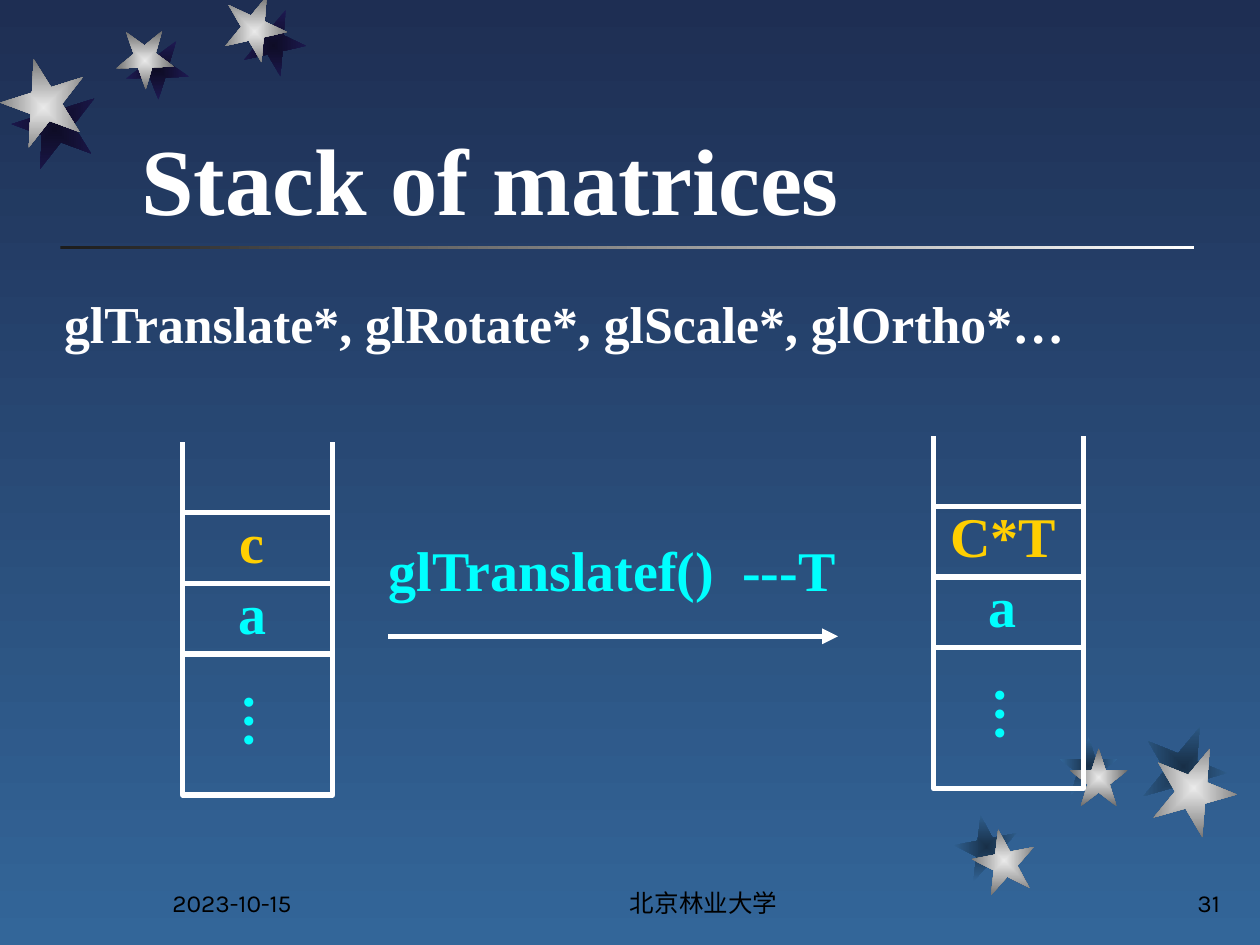
from lxml import etree
from pptx import Presentation
from pptx.dml.color import RGBColor
from pptx.enum.shapes import MSO_CONNECTOR, MSO_SHAPE
from pptx.enum.text import MSO_ANCHOR, MSO_AUTO_SIZE, PP_ALIGN
from pptx.oxml.ns import qn
from pptx.util import Inches, Pt

LEFT, CENTER, RIGHT = PP_ALIGN.LEFT, PP_ALIGN.CENTER, PP_ALIGN.RIGHT
TOP, BOTTOM = MSO_ANCHOR.TOP, MSO_ANCHOR.BOTTOM
SERIF, SANS = "Times New Roman", "Karla"
WHITE, BLACK, CYAN, GOLD = "FFFFFF", "000000", "00FFFF", "FFCF01"
SILVER, NIGHT, DUSK = ("EAEAEA", "6C6C6C"), ("0E0C26", "1E1A53"), ("182F47", "336699")

STAR = [(0, .38), (.38, .38), (.5, 0), (.62, .38), (1, .38),
        (.69, .62), (.81, 1), (.5, .76), (.19, 1), (.31, .62)]
# left, top, width, height, rotation, colours
STARS = [
    (1.92, .11, .5, .5, 167.3, NIGHT),
    (1, .33, .5, .46, 178.3, NIGHT),
    (.1, .69, .67, .67, 200.3, NIGHT),
    (1.77, 0, .5, .5, 167.3, SILVER),
    (.92, .25, .46, .46, 178.3, SILVER),
    (.01, .52, .67, .67, 200.3, SILVER),
    (7.58, 6.47, .5, .5, 349, DUSK),
    (8.41, 5.85, .46, .46, 0, DUSK),
    (9.06, 5.75, .67, .67, 22, DUSK),
    (7.72, 6.58, .5, .5, 349, SILVER),
    (8.49, 5.94, .46, .46, 0, SILVER),
    (9.14, 5.92, .67, .67, 22, SILVER),
]
STACK_WIDTH, ROW = 1.19, .56


def color(code):
    return RGBColor.from_string(code)


def fill_gradient(fill, colors, angle=0):
    fill.gradient()
    fill.gradient_angle = angle
    for stop, code in zip(fill.gradient_stops, colors):
        stop.color.rgb = color(code)


def make_gradient_radiate(shape):
    """Let the gradient run from the centre of the shape outwards."""
    gradient = shape._element.spPr.find(qn("a:gradFill"))
    gradient.remove(gradient.find(qn("a:lin")))
    focus = etree.SubElement(gradient, qn("a:path"), {"path": "rect"})
    etree.SubElement(focus, qn("a:fillToRect"), dict.fromkeys("ltrb", "50000"))


def add_star(page, left, top, width, height, rotation, colors):
    points = [(Inches(left + x * width), Inches(top + y * height)) for x, y in STAR]
    builder = page.shapes.build_freeform(*points[0])
    builder.add_line_segments(points[1:], close=True)
    star = builder.convert_to_shape()
    star.rotation = rotation
    star.shadow.inherit = False
    star.line.fill.background()
    fill_gradient(star.fill, colors)
    make_gradient_radiate(star)


def add_rect(page, left, top, width, height):
    rect = page.shapes.add_shape(MSO_SHAPE.RECTANGLE, Inches(left), Inches(top),
                                 Inches(width), Inches(height))
    rect.shadow.inherit = False
    return rect


def add_line(page, x1, y1, x2, y2, arrow=False):
    line = page.shapes.add_connector(MSO_CONNECTOR.STRAIGHT, Inches(x1), Inches(y1),
                                     Inches(x2), Inches(y2))
    line.line.color.rgb = color(WHITE)
    line.line.width = Pt(3)
    properties = line._element.spPr
    if arrow:
        etree.SubElement(properties.find(qn("a:ln")), qn("a:tailEnd"), type="triangle")
    etree.SubElement(properties, qn("a:effectLst"))


def write(box, text, size, font, code, bold, align, anchor):
    frame = box.text_frame
    frame.vertical_anchor = anchor
    para = frame.paragraphs[0]
    para.alignment = align
    span = para.add_run()
    span.text = text
    span.font.size = Pt(size)
    span.font.name = font
    span.font.bold = bold
    span.font.color.rgb = color(code)
    return para


def add_text(page, text, left, top, width, height, size=32, font=SERIF, code=CYAN,
             bold=True, align=LEFT, anchor=TOP, wrap=True):
    box = page.shapes.add_textbox(Inches(left), Inches(top), Inches(width), Inches(height))
    box.text_frame.word_wrap = wrap
    write(box, text, size, font, code, bold, align, anchor)
    return box


def add_vertical_dots(page, left, top):
    box = add_text(page, "…", left, top, .73, .82)
    frame = box.text_frame
    frame.margin_left = frame.margin_right = Inches(.05)
    frame.margin_top = frame.margin_bottom = Inches(.1)
    frame._txBody.bodyPr.set("vert", "eaVert")


def add_stack(page, left, top, labels):
    """Draw an open-topped stack; labels are (text, width, colour) from the top row."""
    right = left + STACK_WIDTH
    frame = add_rect(page, left, top, STACK_WIDTH, 4 * ROW)
    frame.fill.background()
    frame.line.color.rgb = color(WHITE)
    frame.line.width = Pt(3)
    for x in (left, right):
        add_line(page, x, top, x, top - ROW)
    for row, (text, width, code) in enumerate(labels):
        floor = top + (row + 1) * ROW
        add_line(page, left, floor, right, floor)
        add_text(page, text, left + .55 - width / 2, floor - ROW - .09, width, .64,
                 code=code, align=CENTER, wrap=False)
    add_vertical_dots(page, left + .26, top + 1.33)


def add_title(page, text):
    title = page.shapes.title
    title.left, title.top = Inches(1.02), Inches(.31)
    title.width, title.height = Inches(8.52), Inches(1.6)
    title.text_frame.auto_size = MSO_AUTO_SIZE.NONE
    write(title, text, 54, SERIF, WHITE, True, LEFT, BOTTOM)


def add_footer(page):
    for text, left, width, align in (("2023-10-15", 1.27, 2.08, LEFT),
                                     ("北京林业大学", 4, 3.17, CENTER),
                                     ("31", 7.7, 2.08, RIGHT)):
        add_text(page, text, left, 6.83, width, .5, size=14, font=SANS, code=BLACK,
                 bold=False, align=align, anchor=BOTTOM)


def main():
    deck = Presentation()
    deck.slide_width, deck.slide_height = Inches(10), Inches(7.5)
    page = deck.slides.add_slide(deck.slide_layouts[5])
    fill_gradient(page.background.fill, ("1E2E53", "336699"), 270)

    rule = add_rect(page, .48, 1.95, 9, .03)
    rule.line.fill.background()
    fill_gradient(rule.fill, ("1C1C1C", WHITE))
    for star in STARS:
        add_star(page, *star)
    add_footer(page)
    add_title(page, "Stack of matrices")

    add_stack(page, 1.45, 4.07, [("c", .4, GOLD), ("a", .42, CYAN)])
    add_line(page, 3.08, 5.05, 6.65, 5.05, arrow=True)
    add_text(page, "glTranslatef()  ---T", 2.97, 4.2, 3.78, .64, align=CENTER, wrap=False)
    add_stack(page, 7.41, 4.02, [("C*T", 1.04, GOLD), ("a", .42, CYAN)])

    calls = add_text(page, "glTranslate*, glRotate*, glScale*, glOrtho*…",
                     .41, 2.32, 9.59, .62, size=29.6, code=WHITE)
    para = calls.text_frame.paragraphs[0]
    para.line_spacing = .9
    indent = para._p.get_or_add_pPr()
    indent.set("marL", str(Inches(.5)))
    indent.set("indent", str(-Inches(.5)))

    deck.save("out.pptx")


if __name__ == "__main__":
    main()
